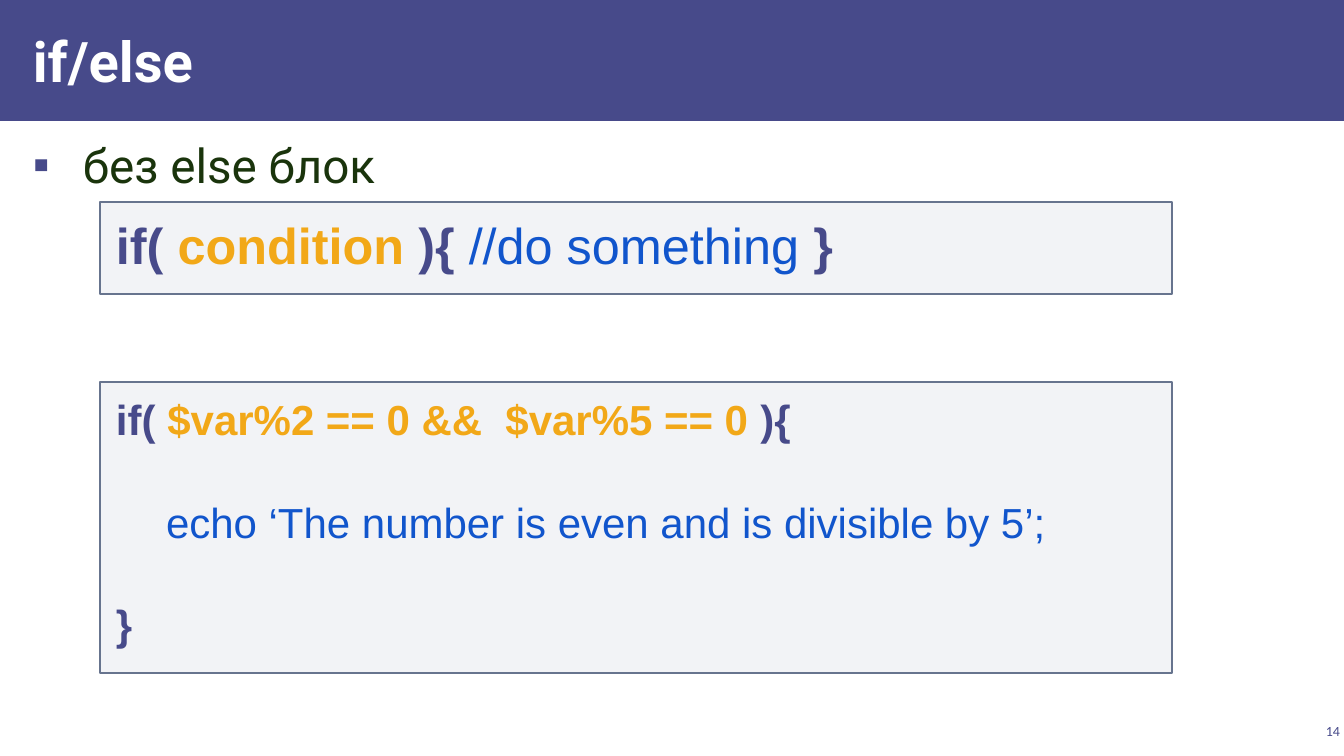
"""Builds the if/else slide with two code boxes."""
import pptx
import pptx.util
from lxml import etree
from pptx.dml.color import RGBColor
from pptx.enum.shapes import MSO_SHAPE
from pptx.enum.text import MSO_ANCHOR, PP_ALIGN
from pptx.oxml.ns import qn

PX = 914400 / 100.8
INDIGO = RGBColor(0x47, 0x4A, 0x8A)
WHITE = RGBColor(0xFF, 0xFF, 0xFF)
GREEN = RGBColor(0x1A, 0x34, 0x0C)
ORANGE = RGBColor(0xF2, 0xA8, 0x18)
BLUE = RGBColor(0x11, 0x55, 0xCC)
GREY = RGBColor(0xAC, 0xB4, 0xC3)
SLATE = RGBColor(0x67, 0x74, 0x8E)


def px(*lengths):
    return [pptx.util.Emu(round(length * PX)) for length in lengths]


def write(shape, lines, size, font, inset=(12, 4), anchor=MSO_ANCHOR.TOP,
          align=PP_ALIGN.LEFT, gap=0, bullet=None):
    frame = shape.text_frame
    frame.word_wrap = True
    frame.vertical_anchor = anchor
    frame.margin_left, frame.margin_top = px(*inset)
    frame.margin_right, frame.margin_bottom = px(*inset)
    for number, (indent, runs) in enumerate(lines):
        paragraph = frame.add_paragraph() if number else frame.paragraphs[0]
        paragraph.alignment = align
        if number:
            paragraph.space_before = pptx.util.Pt(gap)
        properties = paragraph._p.get_or_add_pPr()
        properties.set("marL", str(px(50 if bullet else 0)[0]))
        properties.set("indent", str(px(-50 if bullet else indent)[0]))
        if bullet:
            color = etree.SubElement(properties, qn("a:buClr"))
            etree.SubElement(color, qn("a:srgbClr"), val=str(INDIGO))
            etree.SubElement(properties, qn("a:buFont"), typeface="Arial")
            etree.SubElement(properties, qn("a:buChar"), char=bullet)
        for text, color, bold in runs:
            run = paragraph.add_run()
            run.text = text
            run.font.size = pptx.util.Pt(size)
            run.font.name = font
            run.font.bold = bold
            run.font.color.rgb = color


presentation = pptx.Presentation()
presentation.slide_width, presentation.slide_height = px(1344, 756)
slide = presentation.slides.add_slide(presentation.slide_layouts[6])

banner = slide.shapes.add_shape(MSO_SHAPE.RECTANGLE, *px(0, 0, 1344, 121))
banner.shadow.inherit = False
banner.fill.solid()
banner.fill.fore_color.rgb = INDIGO
banner.line.fill.background()

body = slide.shapes.add_textbox(*px(21, 132, 1302, 574))
write(body, [(0, [("без else блок", GREEN, False)])], 34, "Roboto", bullet="▪")

title = slide.shapes.add_textbox(*px(21, 11, 1048, 98))
write(title, [(0, [("if/else", WHITE, True)])], 40, "Roboto",
      anchor=MSO_ANCHOR.MIDDLE)

page_number = slide.shapes.add_textbox(*px(1296, 720, 48, 22))
write(page_number, [(0, [("14", INDIGO, False)])], 10, "Calibri", inset=(4, 4),
      anchor=MSO_ANCHOR.MIDDLE, align=PP_ALIGN.RIGHT)

syntax = [
    (0, [("if( ", INDIGO, True), ("condition ", ORANGE, True), ("){ ", INDIGO, True),
         ("//do something ", BLUE, False), ("}", INDIGO, True)]),
]
example = [
    (0, [("if( ", INDIGO, True), ("$var%2 == 0 &&  $var%5 == 0 ", ORANGE, True),
         ("){", INDIGO, True)]),
    (50, [("echo ‘The number is even and is divisible by 5’;", BLUE, False)]),
    (0, [("}", INDIGO, True)]),
]
for top, height, size, code in [(202, 92, 36, syntax), (382, 291, 30, example)]:
    code_box = slide.shapes.add_shape(MSO_SHAPE.RECTANGLE, *px(100, top, 1072, height))
    code_box.shadow.inherit = False
    code_box.fill.solid()
    code_box.fill.fore_color.rgb = GREY
    fill_color = code_box._element.spPr.find(qn("a:solidFill")).find(qn("a:srgbClr"))
    etree.SubElement(fill_color, qn("a:alpha"), val="15000")
    code_box.line.color.rgb = SLATE
    code_box.line.width = pptx.util.Pt(1)
    write(code_box, code, size, "Arial", inset=(16, 12), gap=37)

presentation.save("out.pptx")
